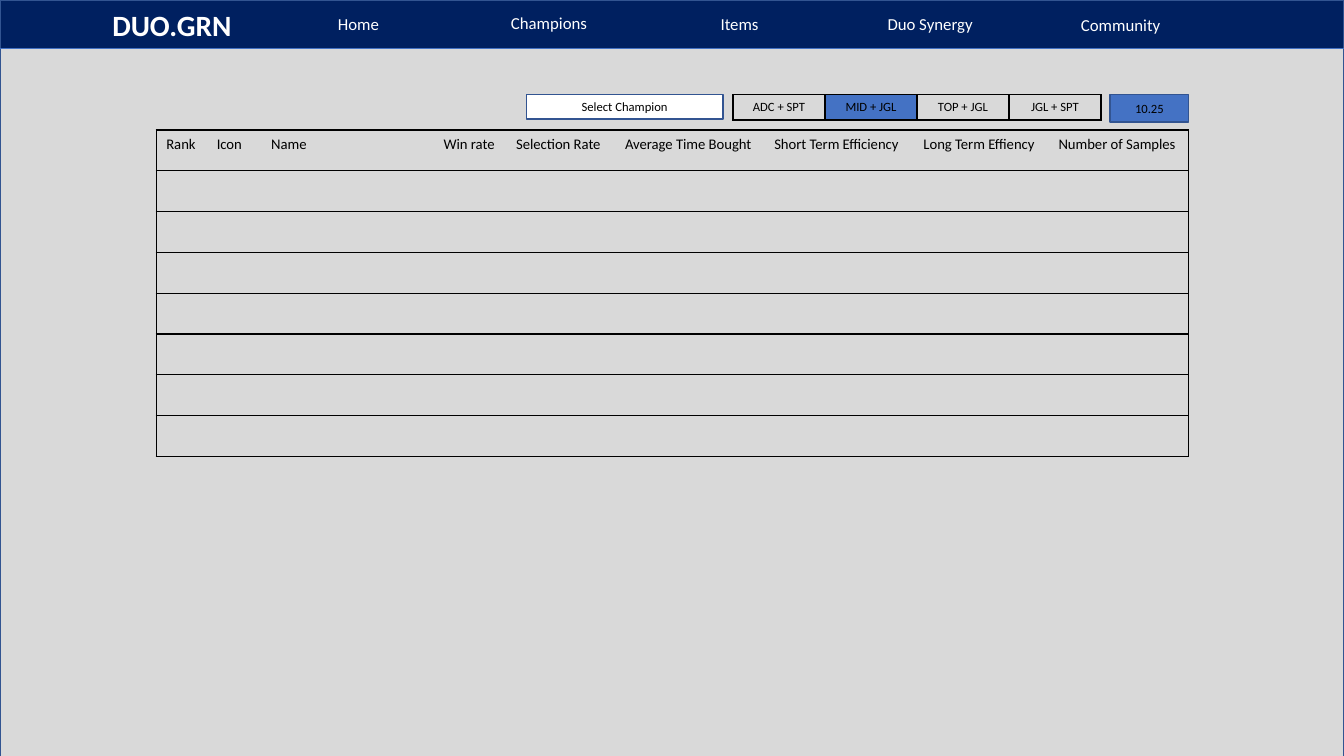
from dataclasses import dataclass
from lxml import etree
from pptx import Presentation
from pptx.dml.color import RGBColor
from pptx.enum import shapes, text
from pptx.oxml import ns
from pptx.util import Inches, Pt

SITE_NAME = "DUO.GRN"
NAVIGATION = [("Home", 0.09), ("Champions", 0.08), ("Items", 0.09),
              ("Duo Synergy", 0.09), ("Community", 0.10)]
COLUMNS = [("Rank", 0.5), ("Icon", 0.54), ("Name", 1.71), ("Win rate", 0.72),
           ("Selection Rate", 1.08), ("Average Time Bought", 1.48),
           ("Short Term Efficiency", 1.48), ("Long Term Effiency", 1.34),
           ("Number of Samples", 1.39)]
EMPTY_ROWS = 7
ROLE_PAIRS = ["ADC + SPT", "MID + JGL", "TOP + JGL", "JGL + SPT"]
SELECTED_PAIR = "MID + JGL"
BUTTONS = [("10.25", (11.01, 0.94, 0.78, 0.27), "4472C4"),
           ("Select Champion", (5.22, 0.94, 1.95, 0.24), "FFFFFF")]


@dataclass(frozen=True)
class Theme:
    font: str = "Calibri"
    navy: str = "002060"
    gray: str = "D9D9D9"
    blue: str = "4472C4"
    outline: str = "325491"
    white: str = "FFFFFF"
    black: str = "000000"
    title_size: float = 21
    navigation_size: float = 12
    header_size: float = 10.5
    control_size: float = 9


THEME = Theme()
CENTER = text.PP_ALIGN.CENTER


def write(frame, words, *, size, color=THEME.black, bold=False, align=CENTER):
    para = frame.paragraphs[0]
    para.alignment = align
    span = para.add_run()
    span.text = words
    span.font.name = THEME.font
    span.font.size = Pt(size)
    span.font.bold = bold
    span.font.color.rgb = RGBColor.from_string(color)


def add_box(page, place, fill):
    box = page.shapes.add_shape(shapes.MSO_SHAPE.RECTANGLE, *map(Inches, place))
    box.shadow.inherit = False
    box.fill.solid()
    box.fill.fore_color.rgb = RGBColor.from_string(fill)
    box.line.color.rgb = RGBColor.from_string(THEME.outline)
    box.line.width = Pt(1)
    box.text_frame.vertical_anchor = text.MSO_ANCHOR.MIDDLE
    return box


def set_borders(cell, visible):
    properties = cell._tc.get_or_add_tcPr()
    for side in "LRTB":
        line = etree.SubElement(properties, ns.qn(f"a:ln{side}"), w=str(Pt(1)))
        if side in visible:
            solid = etree.SubElement(line, ns.qn("a:solidFill"))
            etree.SubElement(solid, ns.qn("a:srgbClr"), val=THEME.black)
        else:
            etree.SubElement(line, ns.qn("a:noFill"))


def add_grid(page, left, top, widths, row_count, row_height):
    frame = page.shapes.add_table(row_count, len(widths), Inches(left), Inches(top),
                                  Inches(sum(widths)), Inches(row_height * row_count))
    table = frame.table
    table.first_row = False
    table.horz_banding = False
    for column, width in zip(table.columns, widths):
        column.width = Inches(width)
    for row in table.rows:
        row.height = Inches(row_height)
    return table


def add_header(page):
    add_box(page, (0, 0, 13.33, 7.5), THEME.navy)
    add_box(page, (0, 0.48, 13.33, 7.04), THEME.gray)
    title = page.shapes.title
    title.element.getparent().append(title.element)
    title.left, title.top, title.width, title.height = map(Inches, (0.9, 0.02, 1.61, 0.45))
    title.text_frame.vertical_anchor = text.MSO_ANCHOR.TOP
    write(title.text_frame, SITE_NAME, size=THEME.title_size, color=THEME.white, bold=True)

    divider = page.shapes.add_connector(shapes.MSO_CONNECTOR.STRAIGHT, 0, Inches(0.48),
                                        Inches(13.33), Inches(0.48))
    divider.line.color.rgb = RGBColor.from_string(THEME.blue)
    divider.line.width = Pt(0.5)
    etree.SubElement(divider.element.spPr, ns.qn("a:effectLst"))

    item_width = 1.89
    for index, (label, top) in enumerate(NAVIGATION):
        box = page.shapes.add_textbox(Inches(2.61 + index * item_width), Inches(top),
                                      Inches(item_width), Inches(0.3))
        box.text_frame.word_wrap = True
        write(box.text_frame, label, size=THEME.navigation_size, color=THEME.white)


def add_statistics(page):
    widths = [width for _, width in COLUMNS]
    table = add_grid(page, 1.55, 1.29, widths, EMPTY_ROWS + 1, 0.405)
    last = len(COLUMNS) - 1
    for row in table.rows:
        for index, cell in enumerate(row.cells):
            set_borders(cell, "TB" + "L" * (index == 0) + "R" * (index == last))
            cell.fill.background()
    for index, (label, _) in enumerate(COLUMNS):
        write(table.cell(0, index).text_frame, label, size=THEME.header_size,
              align=text.PP_ALIGN.LEFT)


def add_filters(page):
    for label, place, fill in BUTTONS:
        box = add_box(page, place, fill)
        write(box.text_frame, label, size=THEME.control_size)
    table = add_grid(page, 7.27, 0.94, [0.9125] * len(ROLE_PAIRS), 1, 0.25)
    for index, pair in enumerate(ROLE_PAIRS):
        cell = table.cell(0, index)
        set_borders(cell, "LRTB")
        if pair == SELECTED_PAIR:
            cell.fill.solid()
            cell.fill.fore_color.rgb = RGBColor.from_string(THEME.blue)
        else:
            cell.fill.background()
        write(cell.text_frame, pair, size=THEME.control_size)


def main():
    deck = Presentation()
    deck.slide_width, deck.slide_height = Inches(13.33), Inches(7.5)
    page = deck.slides.add_slide(deck.slide_layouts.get_by_name("Title Only"))
    add_header(page)
    add_statistics(page)
    add_filters(page)
    deck.save("out.pptx")


if __name__ == "__main__":
    main()
